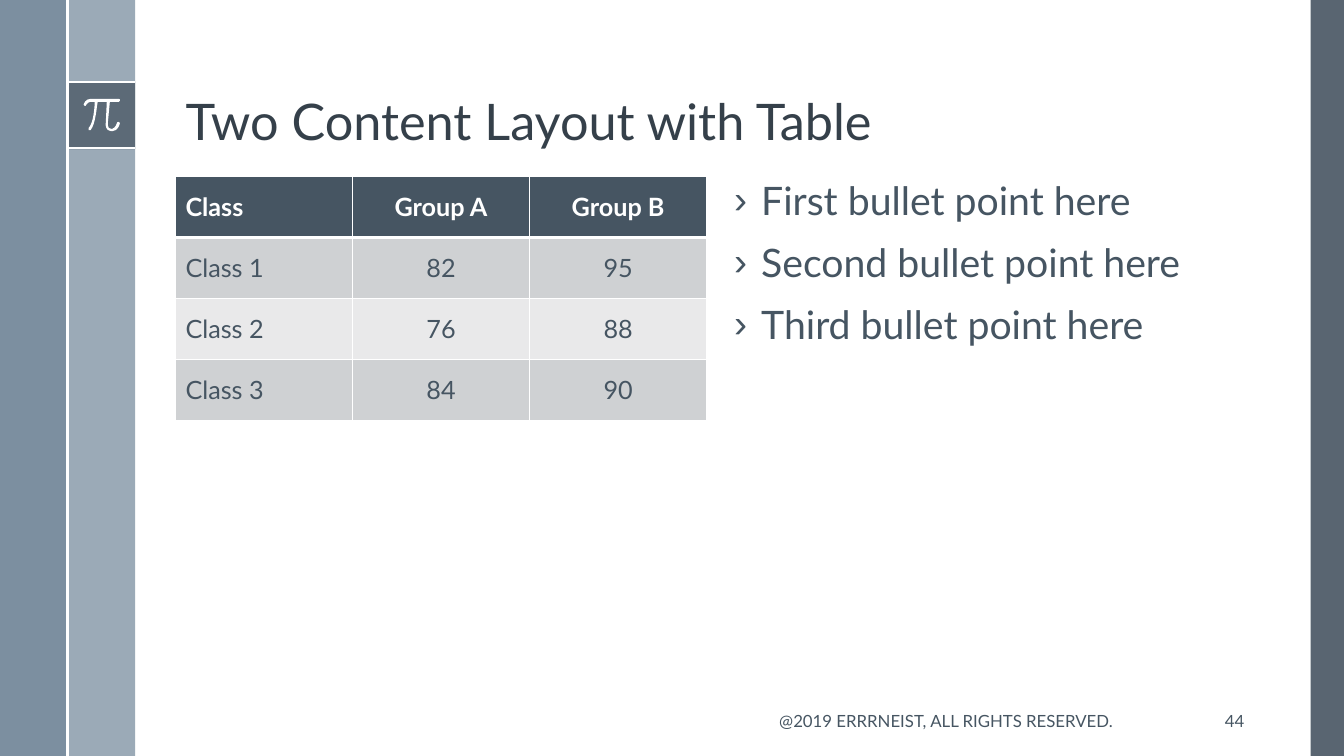
from dataclasses import dataclass

from lxml import etree
from pptx import Presentation
from pptx import util as u
from pptx.dml.color import RGBColor
from pptx.enum import shapes, text
from pptx.oxml import ns

TITLE = "Two Content Layout with Table"
SCORES = [
    ("Class", "Group A", "Group B"),
    ("Class 1", "82", "95"),
    ("Class 2", "76", "88"),
    ("Class 3", "84", "90"),
]
BULLETS = ["First bullet point here", "Second bullet point here", "Third bullet point here"]
COPYRIGHT = "@2019 ERRRNEIST, ALL RIGHTS RESERVED."
PAGE_NUMBER = "44"


@dataclass(frozen=True)
class Theme:
    font: str = "Lato"
    white: str = "FFFFFF"
    title: str = "35404A"
    ink: str = "465562"
    slate: str = "475562"
    steel: str = "6A8093"
    mist: str = "9BAAB7"
    band_dark: str = "CFD1D3"
    band_light: str = "E9E9EA"
    title_size: int = 36
    body_size: int = 28
    table_size: int = 18
    footer_size: int = 12
    rule: float = 1.5


THEME = Theme()
WIDTH, HEIGHT = 13.33, 7.5
STRIPE = 0.67
TILE_TOP = 0.81
LEFT, CONTENT_TOP, COLUMN_WIDTH = 1.74, 1.75, 5.27
TABLE_HEIGHT = 2.42
FOOTER_TOP, FOOTER_HEIGHT = 6.95, 0.4

BANDS = [
    (13, 0, 0.33, HEIGHT, THEME.slate, 90),
    (STRIPE, 0, STRIPE, HEIGHT, THEME.mist, 100),
    (0, 0, STRIPE, HEIGHT, THEME.steel, 88),
    (STRIPE, TILE_TOP, STRIPE, STRIPE, THEME.slate, 75),
]
RULES = [
    (STRIPE, TILE_TOP, 2 * STRIPE, TILE_TOP),
    (STRIPE, 1.47, 2 * STRIPE, 1.47),
    (STRIPE, 0, STRIPE, HEIGHT),
]
PI_START = (1.18, 0.98)
PI_CURVES = [
    ((0.9, 0.98), (0.9, 0.98), (0.9, 0.98)),
    ((0.85, 0.98), (0.83, 1.03), (0.83, 1.04)),
    ((0.83, 1.04), (0.83, 1.05), (0.84, 1.05)),
    ((0.85, 1.05), (0.85, 1.05), (0.85, 1.05)),
    ((0.85, 1.05), (0.87, 1.01), (0.9, 1.01)),
    ((0.94, 1.01), (0.94, 1.01), (0.94, 1.01)),
    ((0.94, 1.05), (0.93, 1.22), (0.88, 1.27)),
    ((0.87, 1.28), (0.87, 1.28), (0.88, 1.29)),
    ((0.88, 1.29), (0.89, 1.29), (0.9, 1.29)),
    ((0.95, 1.23), (0.96, 1.05), (0.97, 1.01)),
    ((1.06, 1.01), (1.06, 1.01), (1.06, 1.01)),
    ((1.05, 1.22), (1.05, 1.22), (1.05, 1.22)),
    ((1.05, 1.22), (1.04, 1.26), (1.07, 1.29)),
    ((1.08, 1.3), (1.09, 1.3), (1.1, 1.3)),
    ((1.11, 1.3), (1.11, 1.3), (1.12, 1.3)),
    ((1.17, 1.3), (1.19, 1.23), (1.19, 1.22)),
    ((1.19, 1.22), (1.18, 1.21), (1.18, 1.21)),
    ((1.17, 1.21), (1.16, 1.21), (1.16, 1.22)),
    ((1.16, 1.22), (1.15, 1.27), (1.11, 1.28)),
    ((1.1, 1.28), (1.09, 1.28), (1.08, 1.27)),
    ((1.07, 1.26), (1.07, 1.23), (1.07, 1.22)),
    ((1.09, 1.01), (1.09, 1.01), (1.09, 1.01)),
    ((1.18, 1.01), (1.18, 1.01), (1.18, 1.01)),
    ((1.19, 1.01), (1.19, 1), (1.19, 1)),
    ((1.19, 0.99), (1.19, 0.98), (1.18, 0.98)),
]


def inches(*values):
    return [u.Inches(value) for value in values]


def child(parent, tag, **attributes):
    return etree.SubElement(parent, ns.qn(tag), attributes)


def paint(shape, color, opacity=100):
    shape.shadow.inherit = False
    shape.fill.solid()
    shape.fill.fore_color.rgb = RGBColor.from_string(color)
    shape.line.fill.background()
    if opacity < 100:
        swatch = shape.fill._xPr.find(".//" + ns.qn("a:srgbClr"))
        child(swatch, "a:alpha", val=str(opacity * 1000))


def write(frame, lines, size, color=THEME.ink, bold=False, align=text.PP_ALIGN.LEFT,
          anchor=text.MSO_ANCHOR.MIDDLE, spacing=1.0, before=0, bullet=None):
    frame.word_wrap = True
    frame.auto_size = text.MSO_AUTO_SIZE.NONE
    frame.vertical_anchor = anchor
    for index, line in enumerate(lines):
        para = frame.paragraphs[0] if index == 0 else frame.add_paragraph()
        para.alignment = align
        para.line_spacing = spacing
        para.space_before = u.Pt(before if index else 0)
        if bullet:
            properties = para._p.get_or_add_pPr()
            properties.set("marL", str(u.Inches(0.27)))
            properties.set("indent", str(u.Inches(-0.27)))
            child(properties, "a:buChar", char=bullet)
        span = para.add_run()
        span.text = line
        span.font.name = THEME.font
        span.font.size = u.Pt(size)
        span.font.bold = bold
        span.font.color.rgb = RGBColor.from_string(color)


def place(shape, *bounds):
    shape.left, shape.top, shape.width, shape.height = inches(*bounds)
    return shape.text_frame


def draw_frame(page):
    for *bounds, color, opacity in BANDS:
        paint(page.shapes.add_shape(shapes.MSO_SHAPE.RECTANGLE, *inches(*bounds)), color, opacity)
    for ends in RULES:
        rule = page.shapes.add_connector(shapes.MSO_CONNECTOR.STRAIGHT, *inches(*ends))
        rule.line.color.rgb = RGBColor.from_string(THEME.white)
        rule.line.width = u.Pt(THEME.rule)
        child(rule._element.spPr, "a:effectLst")


def draw_pi(page):
    outline = page.shapes.build_freeform(*inches(*PI_START))
    outline.add_line_segments([inches(*point) for curve in PI_CURVES for point in curve])
    symbol = outline.convert_to_shape()
    segments = list(symbol._element.iter(ns.qn("a:lnTo")))
    for first, second, end in zip(segments[::3], segments[1::3], segments[2::3]):
        curve = etree.Element(ns.qn("a:cubicBezTo"))
        first.addprevious(curve)
        for segment in (first, second, end):
            curve.append(segment[0])
            segment.getparent().remove(segment)
    paint(symbol, THEME.white)


def border(cell, widths):
    properties = cell._tc.get_or_add_tcPr()
    for index, (side, width) in enumerate(widths.items()):
        line = etree.Element(ns.qn("a:ln" + side), w=str(u.Pt(width)))
        child(child(line, "a:solidFill"), "a:srgbClr", val=THEME.white)
        properties.insert(index, line)


def draw_table(page):
    bounds = inches(LEFT, CONTENT_TOP, COLUMN_WIDTH, TABLE_HEIGHT)
    table = page.shapes.add_table(len(SCORES), len(SCORES[0]), *bounds).table
    for row, values in enumerate(SCORES):
        header = row == 0
        fill = THEME.ink if header else THEME.band_dark if row % 2 else THEME.band_light
        for column, value in enumerate(values):
            cell = table.cell(row, column)
            cell.fill.solid()
            cell.fill.fore_color.rgb = RGBColor.from_string(fill)
            border(cell, {"L": 1, "R": 1, "T": 3 if row == 1 else 1, "B": 3 if header else 1})
            write(cell.text_frame, [value], THEME.table_size, bold=header,
                  color=THEME.white if header else THEME.ink,
                  align=text.PP_ALIGN.CENTER if column else text.PP_ALIGN.LEFT)
            cell.vertical_anchor = text.MSO_ANCHOR.MIDDLE


def main():
    deck = Presentation()
    deck.slide_width, deck.slide_height = inches(WIDTH, HEIGHT)
    page = deck.slides.add_slide(deck.slide_layouts[1])
    draw_frame(page)
    draw_pi(page)
    write(place(page.shapes.title, LEFT, 0.19, 10.7, 1.36), [TITLE], THEME.title_size,
          color=THEME.title, anchor=text.MSO_ANCHOR.BOTTOM, spacing=0.9)
    draw_table(page)
    write(place(page.placeholders[1], 7.18, CONTENT_TOP, COLUMN_WIDTH, 5), BULLETS,
          THEME.body_size, anchor=text.MSO_ANCHOR.TOP, spacing=0.9, before=14, bullet="›")
    for left, width, line, align in [
        (7.21, 4.35, COPYRIGHT, text.PP_ALIGN.CENTER),
        (11.77, 0.67, PAGE_NUMBER, text.PP_ALIGN.RIGHT),
    ]:
        box = page.shapes.add_textbox(*inches(left, FOOTER_TOP, width, FOOTER_HEIGHT))
        write(box.text_frame, [line], THEME.footer_size, align=align)
    deck.save("out.pptx")


if __name__ == "__main__":
    main()
